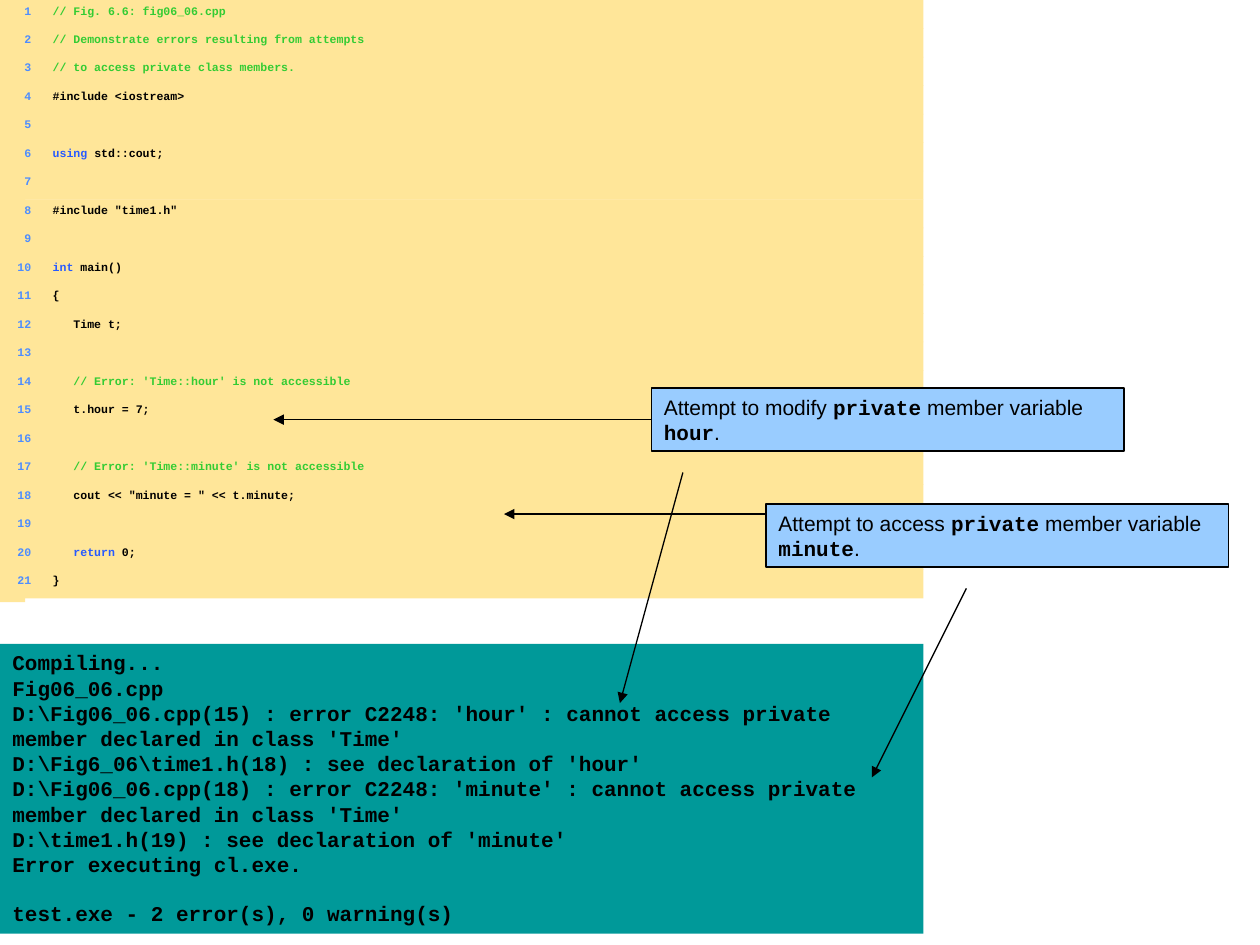
from lxml import etree
from pptx import Presentation
from pptx.dml.color import RGBColor
from pptx.enum import shapes, text
from pptx.oxml import ns
from pptx.util import Inches, Pt

COLORS = {
    "paper": "FFE699", "number": "4D8DFF", "comment": "33CC33", "keyword": "275AFF",
    "plain": "000000", "console": "009999", "callout": "99CCFF",
}
CODE_FONT, TEXT_FONT = "Courier New", "Arial"
ROW_STEP = 0.226


def add_box(parent, left, top, width, height, fill, line=None):
    shape = parent.add_shape(shapes.MSO_SHAPE.RECTANGLE, Inches(left), Inches(top), Inches(width), Inches(height))
    shape.shadow.inherit = False
    shape.fill.solid()
    shape.fill.fore_color.rgb = RGBColor.from_string(COLORS[fill])
    if line:
        shape.line.color.rgb = RGBColor.from_string(COLORS[line])
        shape.line.width = Pt(0.75)
    else:
        shape.line.fill.background()
    shape.text_frame.word_wrap = True
    shape.text_frame.vertical_anchor = text.MSO_ANCHOR.TOP
    return shape


def add_arrow(parent, start, end):
    points = [Inches(value) for value in start + end]
    arrow = parent.add_connector(shapes.MSO_CONNECTOR.STRAIGHT, *points)
    arrow.line.color.rgb = RGBColor.from_string(COLORS["plain"])
    arrow.line.width = Pt(0.75)
    etree.SubElement(arrow.line._get_or_add_ln(), ns.qn("a:tailEnd"), type="triangle")
    etree.SubElement(arrow._element.spPr, ns.qn("a:effectLst"))
    return arrow


presentation = Presentation()
presentation.slide_width, presentation.slide_height = Inches(10), Inches(7.5)
slide = presentation.slides.add_slide(presentation.slide_layouts[6])

code_lines = [
    [("// Fig. 6.6: fig06_06.cpp", "comment")],
    [("// Demonstrate errors resulting from attempts", "comment")],
    [("// to access private class members.", "comment")],
    [("#include <iostream>", "plain")],
    [],
    [("using", "keyword"), (" std::cout;", "plain")],
    [],
    [('#include "time1.h"', "plain")],
    [],
    [("int", "keyword"), (" main()", "plain")],
    [("{", "plain")],
    [("   Time t;", "plain")],
    [],
    [("   // Error: 'Time::hour' is not accessible", "comment")],
    [("   t.hour = 7;", "plain")],
    [],
    [("   // Error: 'Time::minute' is not accessible", "comment")],
    [('   cout << "minute = " << t.minute;', "plain")],
    [],
    [("   return", "keyword"), (" 0;", "plain")],
    [("}", "plain")],
]
listing = slide.shapes.add_group_shape().shapes
for number, pieces in enumerate(code_lines, 1):
    top = (number - 1) * ROW_STEP
    add_box(listing, 0, top - 0.04, 0.2, 0.3, "paper")
    row = add_box(listing, 0, top, 7.33, 0.23, "paper")
    paragraph = row.text_frame.paragraphs[0]
    paragraph.alignment = text.PP_ALIGN.LEFT
    paragraph.line_spacing = 0.8
    tabs = etree.SubElement(paragraph._p.get_or_add_pPr(), ns.qn("a:tabLst"))
    for position, side in [(0.15, "r"), (0.32, "l")]:
        etree.SubElement(tabs, ns.qn("a:tab"), pos=str(Inches(position)), algn=side)
    paragraph.font.name = CODE_FONT
    paragraph.font.size = Pt(6.6)
    paragraph.font.bold = True
    for content, color in [(f"\t{number}\t", "number")] + pieces:
        run = paragraph.add_run()
        run.text = content
        run.font.color.rgb = RGBColor.from_string(COLORS[color])

console_lines = [
    "Compiling...",
    "Fig06_06.cpp",
    "D:\\Fig06_06.cpp(15) : error C2248: 'hour' : cannot access private",
    "member declared in class 'Time'",
    "D:\\Fig6_06\\time1.h(18) : see declaration of 'hour'",
    "D:\\Fig06_06.cpp(18) : error C2248: 'minute' : cannot access private",
    "member declared in class 'Time'",
    "D:\\time1.h(19) : see declaration of 'minute'",
    "Error executing cl.exe.",
    "test.exe - 2 error(s), 0 warning(s)",
]
console = add_box(slide.shapes, 0, 5.11, 7.33, 2.3, "console")
console.text_frame.text = "\n".join(console_lines)
for paragraph in console.text_frame.paragraphs:
    paragraph.alignment = text.PP_ALIGN.LEFT
    paragraph.font.name = CODE_FONT
    paragraph.font.size = Pt(12)
    paragraph.font.bold = True
    paragraph.font.color.rgb = RGBColor.from_string(COLORS["plain"])
console.text_frame.paragraphs[-1].space_before = Pt(13.6)

callouts = [
    ("access", "minute", (6.08, 4, 3.67, 0.5), (6.08, 4.08), (4, 4.08), (7.67, 4.67), (6.92, 6.17)),
    ("modify", "hour", (5.17, 3.08, 3.75, 0.5), (5.17, 3.33), (2.17, 3.33), (5.42, 3.75), (4.92, 5.58)),
]
for verb, member, place, code_start, code_end, error_start, error_end in callouts:
    group = slide.shapes.add_group_shape().shapes
    callout = add_box(group, *place, "callout", "plain")
    paragraph = callout.text_frame.paragraphs[0]
    paragraph.alignment = text.PP_ALIGN.LEFT
    paragraph.font.size = Pt(12)
    paragraph.font.color.rgb = RGBColor.from_string(COLORS["plain"])
    pieces = [f"Attempt to {verb} ", "private", " member variable ", member, "."]
    for index, content in enumerate(pieces):
        is_code = index % 2 == 1
        run = paragraph.add_run()
        run.text = content
        run.font.name = CODE_FONT if is_code else TEXT_FONT
        run.font.bold = is_code
    code_arrow = add_arrow(group, code_start, code_end)
    if verb == "modify":
        code_arrow.begin_connect(callout, 1)
    add_arrow(group, error_start, error_end)

presentation.save("out.pptx")
